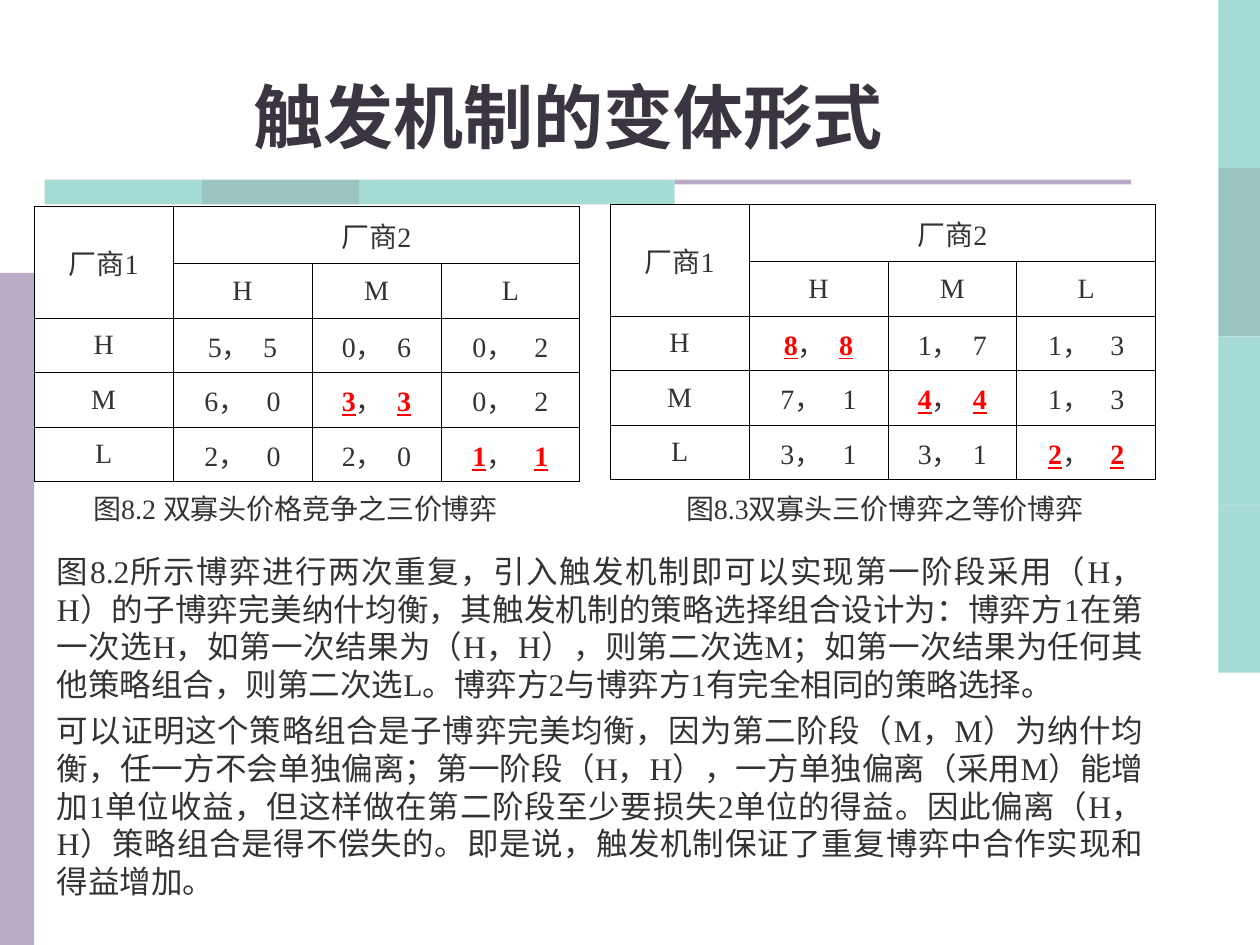
from lxml.etree import SubElement
from pptx import Presentation
from pptx.dml.color import RGBColor
from pptx.enum.shapes import MSO_SHAPE as Shape
from pptx.enum.text import MSO_ANCHOR as Anchor, MSO_AUTO_SIZE as AutoSize, PP_ALIGN as Align
from pptx.oxml.ns import qn
from pptx.util import Cm, Pt

COLORS = {
    "teal": "51B9AF", "dark_teal": "398D85", "lilac": "B8ACC6",
    "title": "3A3541", "text": "333333", "nash": "FF0000", "border": "000000",
}
FONT = "Times New Roman"
PRICES = ["H", "M", "L"]
COL_WIDTHS = [2.8, 2.8, 2.6, 2.8]
ROW_HEIGHTS = [1.15] + [1.1] * 4

THREE_PRICE_GAME = [
    [(5, 5), (0, 6), (0, 2)],
    [(6, 0), (3, 3), (0, 2)],
    [(2, 0), (2, 0), (1, 1)],
]
EQUAL_PRICE_GAME = [
    [(8, 8), (1, 7), (1, 3)],
    [(7, 1), (4, 4), (1, 3)],
    [(3, 1), (3, 1), (2, 2)],
]
BODY = [
    "图8.2所示博弈进行两次重复，引入触发机制即可以实现第一阶段采用（H，H）的子博弈完美纳什均衡，"
    "其触发机制的策略选择组合设计为：博弈方1在第一次选H，如第一次结果为（H，H），则第二次选M；"
    "如第一次结果为任何其他策略组合，则第二次选L。博弈方2与博弈方1有完全相同的策略选择。",
    "可以证明这个策略组合是子博弈完美均衡，因为第二阶段（M，M）为纳什均衡，任一方不会单独偏离；"
    "第一阶段（H，H），一方单独偏离（采用M）能增加1单位收益，但这样做在第二阶段至少要损失2单位的得益。"
    "因此偏离（H，H）策略组合是得不偿失的。即是说，触发机制保证了重复博弈中合作实现和得益增加。",
]


def add_text(p, text, size=16, color="text", bold=False, underline=False, spacing=0):
    """Append a run to p; spacing is extra points after each character."""
    r = p.add_run()
    r.text = text
    r.font.name = FONT
    r.font.size = Pt(size)
    r.font.bold = bold
    r.font.underline = underline
    r.font.color.rgb = RGBColor.from_string(COLORS[color])
    if spacing:
        r.font._element.set("spc", str(spacing * 100))


def add_borders(cell, width=0.45):
    tc_pr = cell._tc.get_or_add_tcPr()
    for i, side in enumerate(("lnL", "lnR", "lnT", "lnB")):
        ln = SubElement(tc_pr, qn(f"a:{side}"), w=str(Pt(width)))
        fill = SubElement(ln, qn("a:solidFill"))
        SubElement(fill, qn("a:srgbClr"), val=COLORS["border"])
        tc_pr.insert(i, ln)


class GameSlide:
    def __init__(self, prs):
        self.slide = prs.slides.add_slide(prs.slide_layouts[5])
        self.shapes = self.slide.shapes

    def bar(self, x, y, w, h, color, alpha=None):
        sp = self.shapes.add_shape(Shape.RECTANGLE, Cm(x), Cm(y), Cm(w), Cm(h))
        sp.shadow.inherit = False
        sp.line.fill.background()
        sp.fill.solid()
        sp.fill.fore_color.rgb = RGBColor.from_string(COLORS[color])
        if alpha is not None:
            clr = sp._element.spPr.find(f".//{qn('a:srgbClr')}")
            SubElement(clr, qn("a:alpha"), val=str(alpha * 1000))

    def title(self, text, x, y, w, h):
        sp = self.shapes.title
        sp.left, sp.top, sp.width, sp.height = Cm(x), Cm(y), Cm(w), Cm(h)
        tf = sp.text_frame
        tf.auto_size = AutoSize.NONE
        tf.vertical_anchor = Anchor.BOTTOM
        p = tf.paragraphs[0]
        p.alignment = Align.CENTER
        add_text(p, text, size=40, color="title", bold=True)

    def text_box(self, x, y, w, h, wrap):
        tf = self.shapes.add_textbox(Cm(x), Cm(y), Cm(w), Cm(h)).text_frame
        tf.word_wrap = wrap
        return tf

    def caption(self, text, x, y, w, h=0.94):
        tf = self.text_box(x, y, w, h, wrap=False)
        tf.auto_size = AutoSize.SHAPE_TO_FIT_TEXT
        add_text(tf.paragraphs[0], text)

    def body(self, paragraphs, x, y, w, h):
        tf = self.text_box(x, y, w, h, wrap=True)
        for i, text in enumerate(paragraphs):
            p = tf.add_paragraph() if i else tf.paragraphs[0]
            p.alignment = Align.JUSTIFY
            p.line_spacing = Pt(21.6)
            if i:
                p.space_before = Pt(4.5)
            add_text(p, text, size=18)

    def payoff_table(self, game, equilibria, x, y):
        """Draw a 3x3 game, marking the payoff pairs listed in equilibria."""
        table = self.shapes.add_table(
            len(ROW_HEIGHTS), len(COL_WIDTHS), Cm(x), Cm(y),
            Cm(sum(COL_WIDTHS)), Cm(sum(ROW_HEIGHTS))).table
        table.first_row = table.horz_banding = False
        for col, width in zip(table.columns, COL_WIDTHS):
            col.width = Cm(width)
        for row, height in zip(table.rows, ROW_HEIGHTS):
            row.height = Cm(height)
        for cell in table.iter_cells():
            cell.fill.background()
            add_borders(cell)
            cell.vertical_anchor = Anchor.MIDDLE
            cell.text_frame.paragraphs[0].alignment = Align.CENTER
        table.cell(0, 0).merge(table.cell(1, 0))
        table.cell(0, 1).merge(table.cell(0, 3))

        def paragraph(row, col):
            return table.cell(row, col).text_frame.paragraphs[0]

        add_text(paragraph(0, 0), "厂商1")
        add_text(paragraph(0, 1), "厂商2")
        for i, price in enumerate(PRICES):
            add_text(paragraph(1, i + 1), price)
            add_text(paragraph(i + 2, 0), price)
            for j, pair in enumerate(game[i]):
                p = paragraph(i + 2, j + 1)
                mark = (dict(color="nash", bold=True, underline=True)
                        if pair in equilibria else {})
                narrow = j == 1 or i == j == 0
                add_text(p, str(pair[0]), **mark)
                add_text(p, "， ", spacing=2 if narrow else 4)
                add_text(p, str(pair[1]), **mark)


def main():
    prs = Presentation()
    prs.slide_width, prs.slide_height = Cm(25.4), Cm(19.05)
    s = GameSlide(prs)

    for i, color in enumerate(["teal", "dark_teal", "teal", "teal"]):
        s.bar(24.56, i * 3.39, 0.84, 3.39, color, alpha=50)
        s.bar(0.9 + i * 3.175, 3.62, 3.175, 0.5, color, alpha=50)
    s.bar(0, 5.5, 0.69, 13.55, "lilac")
    s.bar(13.6, 3.62, 9.2, 0.1, "lilac")

    s.title("触发机制的变体形式", 0, 1.12, 22.91, 2.18)
    s.payoff_table(THREE_PRICE_GAME, [(3, 3), (1, 1)], 0.69, 4.16)
    s.payoff_table(EQUAL_PRICE_GAME, [(8, 8), (4, 4), (2, 2)], 12.3, 4.12)
    s.caption("图8.2 双寡头价格竞争之三价博弈", 1.63, 9.78, 8.94)
    s.caption("图8.3双寡头三价博弈之等价博弈", 13.58, 9.78, 8.9)
    s.body(BODY, 0.9, 11, 22.4, 8.05)
    prs.save("out.pptx")


if __name__ == "__main__":
    main()
